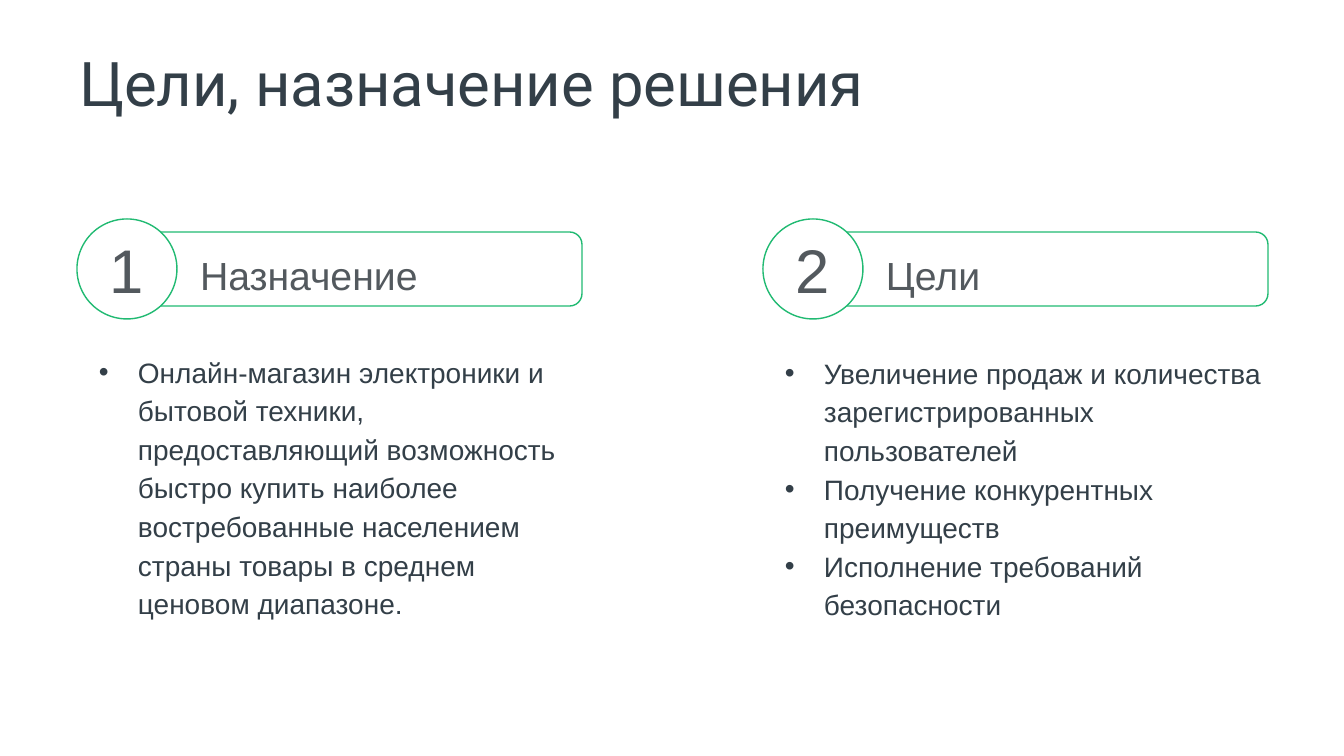
from lxml.etree import SubElement
from pptx import Presentation
from pptx.dml.color import RGBColor
from pptx.enum.shapes import MSO_SHAPE
from pptx.enum.text import MSO_ANCHOR, PP_ALIGN
from pptx.oxml.ns import qn
from pptx.util import Emu, Pt

PX = 9071.43  # EMU in one px

THEME = {
    "white": RGBColor(0xFF, 0xFF, 0xFF),
    "green": RGBColor(0x21, 0xBA, 0x72),
    "dark": RGBColor(0x33, 0x3F, 0x48),
    "grey": RGBColor(0x53, 0x59, 0x5E),
    "title": 44,
    "number": 44,
    "heading": 28,
    "body": 20,
    "title_font": "Roboto",
    "text_font": "Arial",
}

COLUMNS = [
    ("Назначение", 350, 230, [
        "Онлайн-магазин электроники и бытовой техники, предоставляющий "
        "возможность быстро купить наиболее востребованные населением "
        "страны товары в среднем ценовом диапазоне.",
    ]),
    ("Цели", 351, 278, [
        "Увеличение продаж и количества зарегистрированных пользователей",
        "Получение конкурентных преимуществ",
        "Исполнение требований безопасности",
    ]),
]
COLUMN_STEP = 686


def px(*lengths):
    return [Emu(round(length * PX)) for length in lengths]


def write(box, lines, size, color, font="text_font", margins=(0, 0)):
    frame = box.text_frame
    frame.word_wrap = True
    frame.margin_left = frame.margin_right = px(margins[0])[0]
    frame.margin_top = frame.margin_bottom = px(margins[1])[0]
    frame.text = "\n".join(lines)
    for para in frame.paragraphs:
        for span in para.runs:
            span.font.name = THEME[font]
            span.font.size = Pt(THEME[size])
            span.font.color.rgb = THEME[color]
    return frame


deck = Presentation()
deck.slide_width, deck.slide_height = px(1344, 756)
page = deck.slides.add_slide(deck.slide_layouts[6])

# Title
title = page.shapes.add_textbox(*px(69, 40, 1182, 146))
write(title, ["Цели, назначение решения"], "title", "dark", "title_font", (10, 5))

for index, (heading, body_top, body_height, points) in enumerate(COLUMNS):
    left = 77 + index * COLUMN_STEP

    # Heading frame and numbered circle
    bar = page.shapes.add_shape(MSO_SHAPE.ROUNDED_RECTANGLE, *px(left + 30, 232, 475, 74))
    circle = page.shapes.add_shape(MSO_SHAPE.OVAL, *px(left, 219, 100, 100))
    for shape in (bar, circle):
        shape.shadow.inherit = False
        shape.fill.solid()
        shape.fill.fore_color.rgb = THEME["white"]
        shape.line.color.rgb = THEME["green"]
        shape.line.width = Pt(1)
    number = write(circle, [str(index + 1)], "number", "grey")
    number.vertical_anchor = MSO_ANCHOR.MIDDLE
    number.paragraphs[0].alignment = PP_ALIGN.CENTER

    # Heading text
    label = page.shapes.add_textbox(*px(left + 98, 244, 383, 49))
    label_para = write(label, [heading], "heading", "grey", margins=(25, 0)).paragraphs[0]
    label_para.line_spacing = 1.15

    # Bulleted text
    body = page.shapes.add_textbox(*px(left + 11, body_top, 492, body_height))
    for para in write(body, points, "body", "dark").paragraphs:
        para.line_spacing = 1.15
        properties = para._p.get_or_add_pPr()
        indent, hanging = px(50, -39)
        properties.set("marL", str(indent))
        properties.set("indent", str(hanging))
        SubElement(properties, qn("a:buFont"), typeface=THEME["text_font"])
        SubElement(properties, qn("a:buChar"), char="•")

deck.save("out.pptx")
